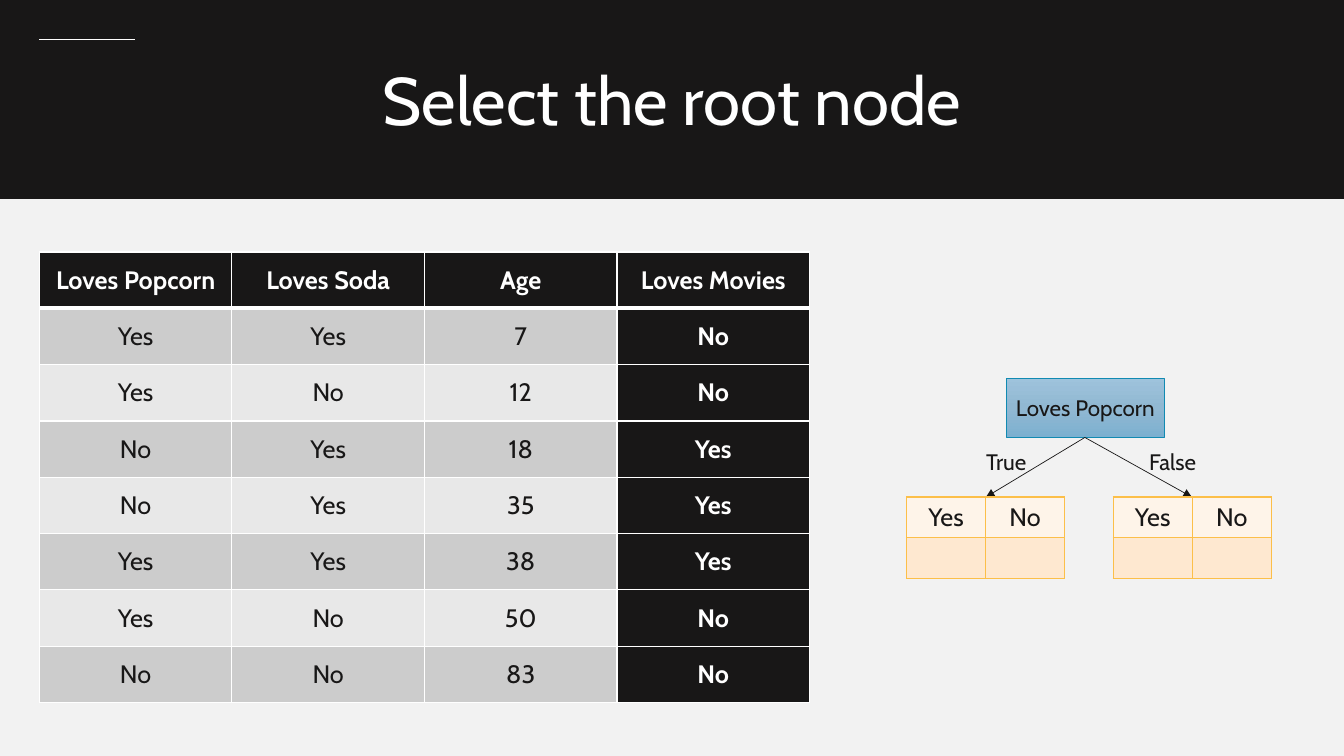
from dataclasses import dataclass

from lxml import etree
from pptx import Presentation
from pptx.dml.color import RGBColor
from pptx.enum.dml import MSO_LINE
from pptx.enum.shapes import MSO_CONNECTOR, MSO_SHAPE
from pptx.enum.text import MSO_ANCHOR, MSO_AUTO_SIZE, PP_ALIGN
from pptx.oxml import parse_xml
from pptx.oxml.ns import nsdecls, qn
from pptx.util import Inches, Pt

CENTER, MIDDLE = PP_ALIGN.CENTER, MSO_ANCHOR.MIDDLE
RECT, STRAIGHT = MSO_SHAPE.RECTANGLE, MSO_CONNECTOR.STRAIGHT
GROW, SOLID = MSO_AUTO_SIZE.SHAPE_TO_FIT_TEXT, MSO_LINE.SOLID
FONT = "Cabin"
DARK, WHITE, PAPER = "181717", "FFFFFF", "F2F2F2"
BAND_DARK, BAND_LIGHT = "CCCCCC", "E8E8E8"
LEAF_LINE, LEAF_HEAD, LEAF_BODY = "FCBF49", "FEF4E9", "FEE8D0"
NODE_LINE = "118AB2"
NODE_STOPS = [(0, "9EC3DC"), (50, "91B8D2"), (100, "7CB0D0")]


@dataclass
class Label:
    text: str
    left: float
    top: float
    width: float
    height: float
    size: int
    color: str = DARK


@dataclass
class Line:
    x1: float
    y1: float
    x2: float
    y2: float
    color: str = DARK
    arrow: bool = False


@dataclass
class CellLook:
    fill: str
    color: str = DARK
    bold: bool = False
    bottom: float = 1


def rgb(value: str) -> RGBColor:
    return RGBColor.from_string(value)


def write(tf, text: str, size: int, color: str, bold: bool = False) -> None:
    p = tf.paragraphs[0]
    p.alignment = CENTER
    r = p.add_run()
    r.text = text
    for name, value in {"name": FONT, "size": Pt(size), "bold": bold}.items():
        setattr(r.font, name, value)
    r.font.color.rgb = rgb(color)


def add_label(s, label: Label) -> None:
    box = [Inches(v) for v in (label.left, label.top, label.width, label.height)]
    tf = s.shapes.add_textbox(*box).text_frame
    tf.word_wrap = True
    tf.auto_size = GROW
    write(tf, label.text, label.size, label.color)


def add_rect(s, left: float, top: float, width: float, height: float,
             line: str, weight: float):
    sp = s.shapes.add_shape(RECT, Inches(left), Inches(top),
                            Inches(width), Inches(height))
    sp.shadow.inherit = False
    sp.line.color.rgb = rgb(line)
    sp.line.width = Pt(weight)
    return sp


def add_line(s, line: Line) -> None:
    cx = s.shapes.add_connector(STRAIGHT, Inches(line.x1), Inches(line.y1),
                                Inches(line.x2), Inches(line.y2))
    cx.line.color.rgb = rgb(line.color)
    cx.line.width = Pt(0.5)
    cx.line.dash_style = SOLID
    if line.arrow:
        etree.SubElement(cx.line._get_or_add_ln(), qn("a:tailEnd"), type="triangle")
    etree.SubElement(cx._element.spPr, qn("a:effectLst"))


def set_borders(cell, color: str, bottom: float) -> None:
    tcPr = cell._tc.get_or_add_tcPr()
    for i, (side, weight) in enumerate(zip("LRTB", (1, 1, 1, bottom))):
        tcPr.insert(i, parse_xml(
            f'<a:ln{side} {nsdecls("a")} w="{Pt(weight)}"><a:solidFill>'
            f'<a:srgbClr val="{color}"/></a:solidFill></a:ln{side}>'))


def add_table(s, rows: list, left: float, top: float, width: float,
              height: float, border: str, look) -> None:
    table = s.shapes.add_table(len(rows), len(rows[0]), Inches(left), Inches(top),
                               Inches(width), Inches(height)).table
    table.first_row = table.horz_banding = False
    for i, row in enumerate(rows):
        for j, text in enumerate(row):
            cell, style = table.cell(i, j), look(i, j)
            cell.vertical_anchor = MIDDLE
            cell.fill.solid()
            cell.fill.fore_color.rgb = rgb(style.fill)
            set_borders(cell, border, style.bottom)
            if text:
                write(cell.text_frame, text, 18, style.color, style.bold)


def data_look(i: int, j: int) -> CellLook:
    if i == 0:
        return CellLook(DARK, WHITE, True, 3)
    if j == 3:
        return CellLook(DARK, WHITE, True)
    return CellLook(BAND_DARK if i % 2 else BAND_LIGHT)


def leaf_look(i: int, j: int) -> CellLook:
    return CellLook(LEAF_BODY if i else LEAF_HEAD)


def fill_gradient(sp, stops: list) -> None:
    sp.fill.gradient()
    sp.fill.gradient_angle = 270
    gs_list = sp._element.spPr.find(qn("a:gradFill")).find(qn("a:gsLst"))
    for gs in list(gs_list):
        gs_list.remove(gs)
    for pos, color in stops:
        gs = etree.SubElement(gs_list, qn("a:gs"), pos=str(pos * 1000))
        etree.SubElement(gs, qn("a:srgbClr"), val=color)


DATA = [
    ["Loves Popcorn", "Loves Soda", "Age", "Loves Movies"],
    ["Yes", "Yes", "7", "No"],
    ["Yes", "No", "12", "No"],
    ["No", "Yes", "18", "Yes"],
    ["No", "Yes", "35", "Yes"],
    ["Yes", "Yes", "38", "Yes"],
    ["Yes", "No", "50", "No"],
    ["No", "No", "83", "No"],
]
LEAF = [["Yes", "No"], ["", ""]]
LEAF_LEFTS = (8.99, 11.04)
LABELS = [
    Label("Select the root node", 1.2, 0.53, 10.93, 0.91, 48, WHITE),
    Label("True", 9.39, 4.4, 1.18, 0.37, 16),
    Label("False", 11.04, 4.4, 1.18, 0.37, 16),
]
LINES = [
    Line(0.39, 0.39, 1.34, 0.39, WHITE),
    Line(10.76, 4.34, 9.78, 4.93, arrow=True),
    Line(10.76, 4.34, 11.82, 4.93, arrow=True),
]


def main() -> None:
    prs = Presentation()
    prs.slide_width, prs.slide_height = Inches(13.33), Inches(7.5)
    s = prs.slides.add_slide(prs.slide_layouts[6])
    s.background.fill.solid()
    s.background.fill.fore_color.rgb = rgb(PAPER)

    # Data table
    add_table(s, DATA, 0.39, 2.5, 7.64, 4.47, WHITE, data_look)

    # Title band
    band = add_rect(s, 0, 0, 13.33, 1.97, DARK, 1)
    band.fill.solid()
    band.fill.fore_color.rgb = rgb(DARK)

    # Root node
    node = add_rect(s, 9.98, 3.75, 1.57, 0.59, NODE_LINE, 0.5)
    fill_gradient(node, NODE_STOPS)
    tf = node.text_frame
    tf.word_wrap = False
    tf.vertical_anchor = MIDDLE
    write(tf, "Loves Popcorn", 16, DARK)

    # Title rule and branches
    for line in LINES:
        add_line(s, line)

    # Leaf tables
    for left in LEAF_LEFTS:
        add_table(s, LEAF, left, 4.93, 1.57, 0.8, LEAF_LINE, leaf_look)

    # Title and branch labels
    for label in LABELS:
        add_label(s, label)

    prs.save("out.pptx")


if __name__ == "__main__":
    main()
